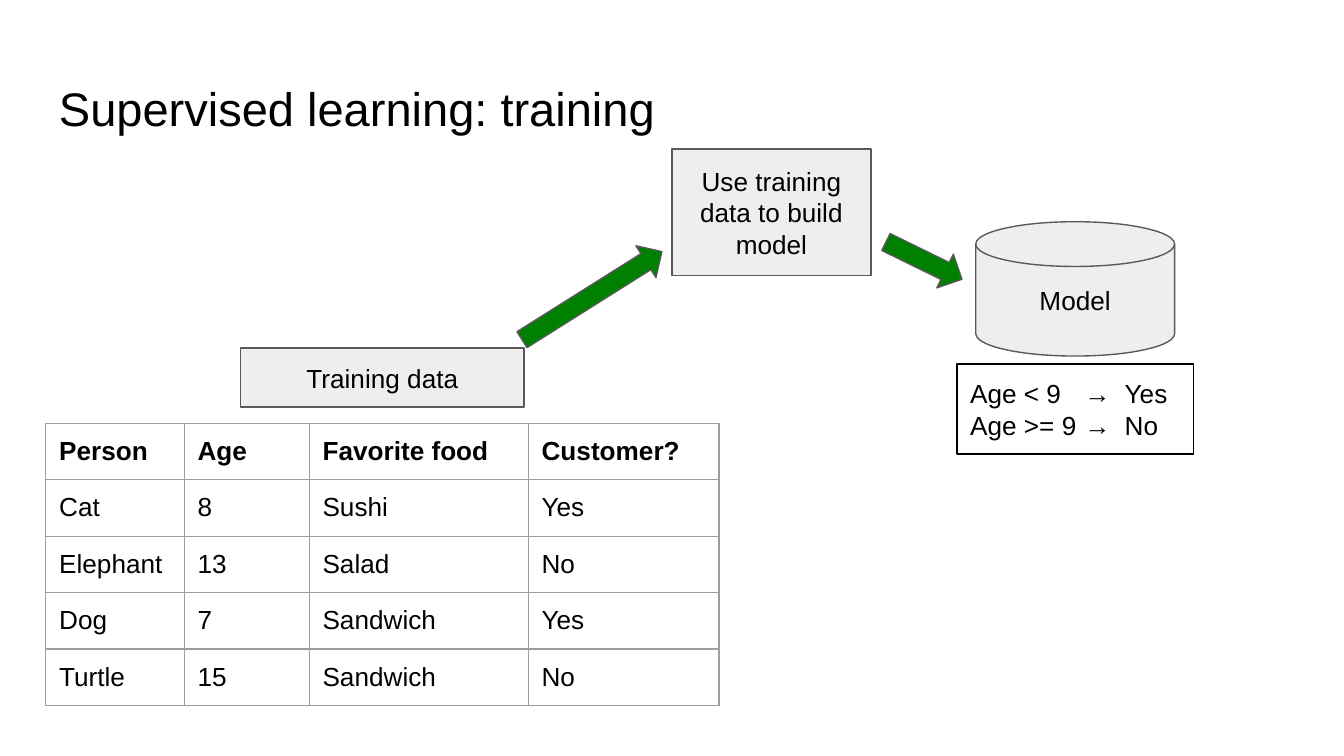
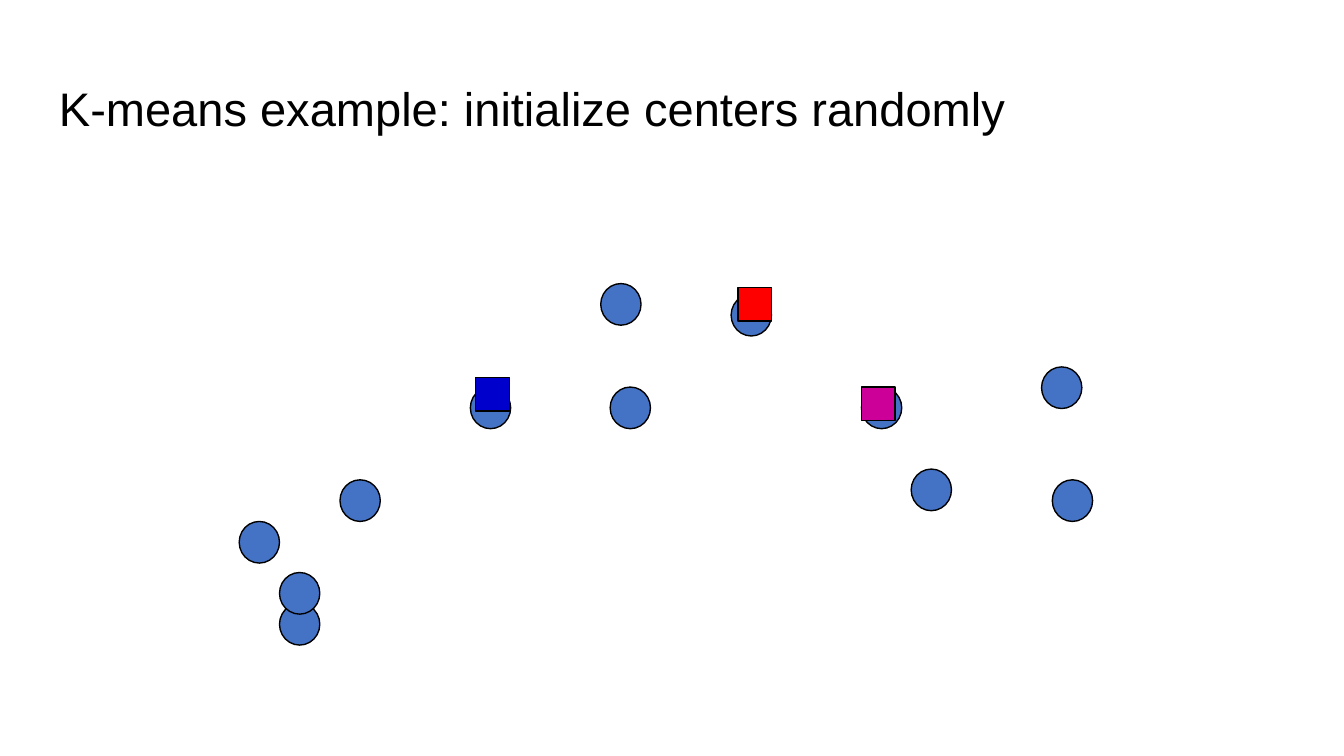
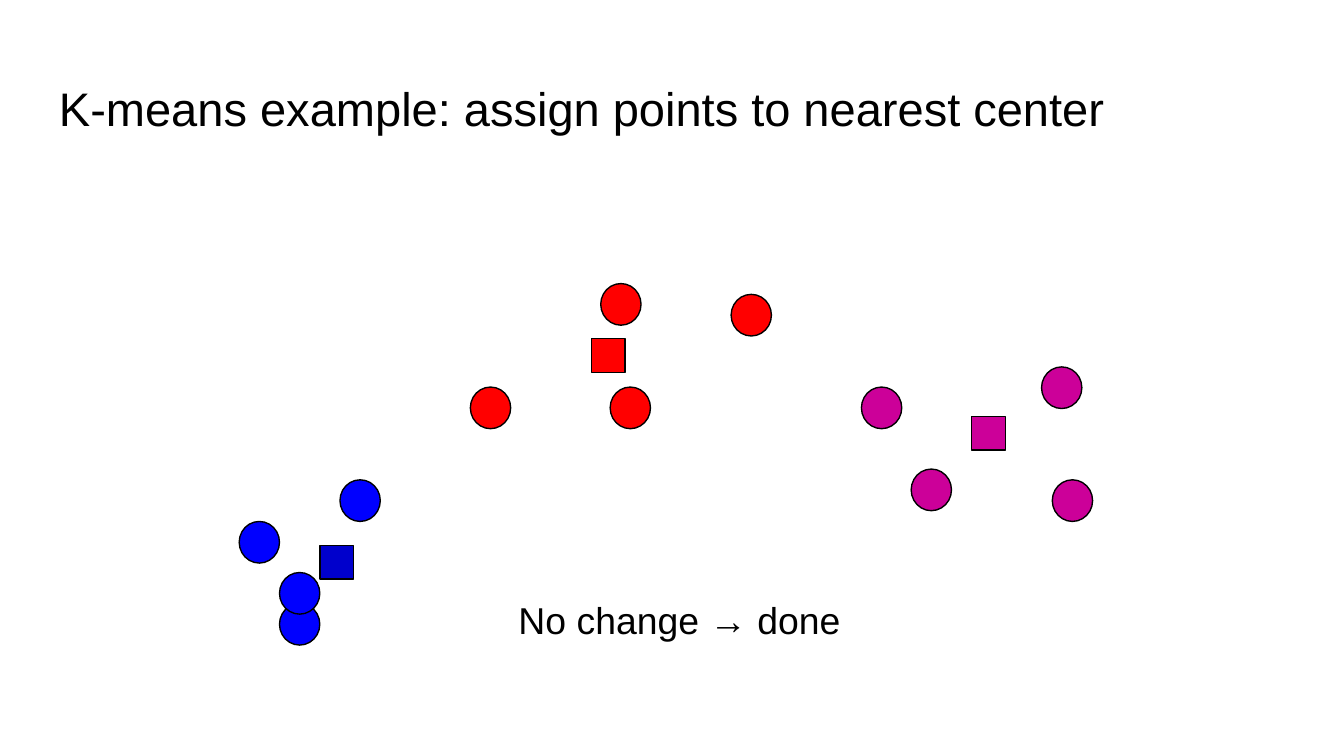
from lxml.etree import SubElement
from pptx import Presentation
from pptx.dml.color import RGBColor
from pptx.enum.shapes import MSO_SHAPE as Shape
from pptx.enum.text import MSO_ANCHOR as Anchor, MSO_AUTO_SIZE as AutoSize, PP_ALIGN as Align
from pptx.oxml.ns import qn
from pptx.util import Inches, Pt

COLORS = {
    "text": "000000", "outline": "000000", "box": "EEEEEE", "box_line": "595959",
    "arrow": "008000", "grid": "9E9E9E", "unassigned": "4472C4",
    "blue": "0000FF", "deep_blue": "0000CC", "red": "FF0000", "magenta": "CC0099",
}
FONT = "Arial"
LINE_WIDTH = Pt(0.75)
SLIDE_WIDTH = Inches(10)
SLIDE_HEIGHT = SLIDE_WIDTH * 9 // 16
MARGINS = {f"margin_{side}": Inches(0.1) for side in ("left", "top", "right", "bottom")}
CELL_MARGINS = {**MARGINS, "margin_bottom": Inches(0.08)}
TITLE_BOX = (0.34, 0.49, 9.32, 0.63)

# Training table
CUSTOMERS = [
    ("Person", "Age", "Favorite food", "Customer?"),
    ("Cat", "8", "Sushi", "Yes"),
    ("Elephant", "13", "Salad", "No"),
    ("Dog", "7", "Sandwich", "Yes"),
    ("Turtle", "15", "Sandwich", "No"),
]
COLUMN_WIDTHS = (1.03, 0.93, 1.63, 1.42)
ROW_HEIGHT = 0.42
RULES = ("Age < 9\t→\tYes", "Age >= 9\t→\tNo")
RULE_TABS = (0.85, 1.15)

# Scatter positions, measured from the top left of the plot
PLOT_ORIGIN = (1.78, 2.11)
POINT_SIZE = (0.3, 0.31)
CENTER_SIZE = (0.25, 0.25)
CLUSTERS = {
    "blue": [(0.3, 2.38), (0, 1.77), (0.75, 1.46), (0.3, 2.15)],
    "red": [(2.69, 0), (3.66, 0.08), (2.76, 0.77), (1.72, 0.77)],
    "magenta": [(5.97, 0.62), (6.05, 1.46), (4.63, 0.77), (5, 1.38)],
}
RANDOM_CENTERS = {"deep_blue": (1.76, 0.7), "red": (3.71, 0.03), "magenta": (4.63, 0.77)}
FINAL_CENTERS = {"deep_blue": (0.6, 1.95), "red": (2.62, 0.41), "magenta": (5.45, 0.99)}


def rgb(color):
    return RGBColor.from_string(COLORS[color])


def set_values(target, values):
    for attribute, value in values.items():
        setattr(target, attribute, value)


def write(frame, lines, size=14, bold=False, align=Align.LEFT):
    for index, line in enumerate(lines):
        paragraph = frame.add_paragraph() if index else frame.paragraphs[0]
        paragraph.alignment = align
        run = paragraph.add_run()
        run.text = line
        set_values(run.font, {"name": FONT, "size": Pt(size), "bold": bold})
        run.font.color.rgb = rgb("text")


def write_in_shape(shape, lines, size=14, align=Align.LEFT, anchor=Anchor.TOP):
    frame = shape.text_frame
    set_values(frame, {**MARGINS, "word_wrap": True, "vertical_anchor": anchor})
    write(frame, lines, size, align=align)
    return frame


def add_text(slide, box, text, size):
    write_in_shape(slide.shapes.add_textbox(*map(Inches, box)), [text], size)


def add_part(slide, kind, box, fill, line="outline", rotation=0):
    part = slide.shapes.add_shape(kind, *map(Inches, box))
    part.shadow.inherit = False
    part.rotation = rotation
    if fill:
        part.fill.solid()
        part.fill.fore_color.rgb = rgb(fill)
    else:
        part.fill.background()
    part.line.color.rgb = rgb(line)
    part.line.width = LINE_WIDTH
    return part


def add_slide(deck, title):
    slide = deck.slides.add_slide(deck.slide_layouts[6])
    add_text(slide, TITLE_BOX, title, 25.2)
    return slide


def add_borders(cell):
    properties = cell._tc.get_or_add_tcPr()
    for index, side in enumerate(("lnL", "lnR", "lnT", "lnB")):
        border = SubElement(properties, qn(f"a:{side}"), w=str(LINE_WIDTH))
        fill = SubElement(border, qn("a:solidFill"))
        SubElement(fill, qn("a:srgbClr"), val=COLORS["grid"])
        properties.insert(index, border)


def add_customer_table(slide, left, top):
    size = (sum(COLUMN_WIDTHS), ROW_HEIGHT * len(CUSTOMERS))
    table = slide.shapes.add_table(
        len(CUSTOMERS), len(COLUMN_WIDTHS), *map(Inches, (left, top, *size))).table
    set_values(table, {"first_row": False, "horz_banding": False})
    for column, width in zip(table.columns, COLUMN_WIDTHS):
        column.width = Inches(width)
    for row_index, customer in enumerate(CUSTOMERS):
        table.rows[row_index].height = Inches(ROW_HEIGHT)
        for column_index, value in enumerate(customer):
            cell = table.cell(row_index, column_index)
            cell.fill.background()
            add_borders(cell)
            set_values(cell, CELL_MARGINS)
            write(cell.text_frame, [value], bold=row_index == 0)


def add_rules(slide, box):
    frame = write_in_shape(add_part(slide, Shape.RECTANGLE, box, None), RULES)
    frame.auto_size = AutoSize.SHAPE_TO_FIT_TEXT
    for paragraph in frame.paragraphs:
        stops = SubElement(paragraph._p.get_or_add_pPr(), qn("a:tabLst"))
        for position in RULE_TABS:
            SubElement(stops, qn("a:tab"), pos=str(Inches(position)), algn="l")


def build_training(deck):
    slide = add_slide(deck, "Supervised learning: training")
    add_customer_table(slide, 0.34, 3.15)
    # Steps from data to model
    for kind, box, label in (
        (Shape.RECTANGLE, (1.79, 2.59, 2.11, 0.44), "Training data"),
        (Shape.RECTANGLE, (5, 1.11, 1.48, 0.94), "Use training data to build model"),
        (Shape.FLOWCHART_MAGNETIC_DISK, (7.26, 1.65, 1.48, 1), "Model"),
    ):
        step = add_part(slide, kind, box, "box", "box_line")
        write_in_shape(step, [label], align=Align.CENTER, anchor=Anchor.MIDDLE)
    # Block arrows between the steps
    for box, rotation in (((3.79, 2.06, 1.23, 0.28), 327.8), ((6.56, 1.8, 0.63, 0.28), 26.1)):
        add_part(slide, Shape.RIGHT_ARROW, box, "arrow", "box_line", rotation)
    add_rules(slide, (7.12, 2.71, 1.76, 0.67))


def build_kmeans(deck, title, centers, assigned):
    slide = add_slide(deck, title)
    left, top = PLOT_ORIGIN
    for cluster, points in CLUSTERS.items():
        for x, y in points:
            add_part(slide, Shape.OVAL, (left + x, top + y, *POINT_SIZE),
                     cluster if assigned else "unassigned")
    for color, (x, y) in centers.items():
        add_part(slide, Shape.RECTANGLE, (left + x, top + y, *CENTER_SIZE), color)
    return slide


def main():
    deck = Presentation()
    set_values(deck, {"slide_width": SLIDE_WIDTH, "slide_height": SLIDE_HEIGHT})
    build_training(deck)
    build_kmeans(deck, "K-means example: initialize centers randomly", RANDOM_CENTERS, False)
    final = build_kmeans(
        deck, "K-means example: assign points to nearest center", FINAL_CENTERS, True)
    add_text(final, (3.76, 4.34, 2.77, 0.77), "No change → done", 20)
    deck.save("out.pptx")


if __name__ == "__main__":
    main()
